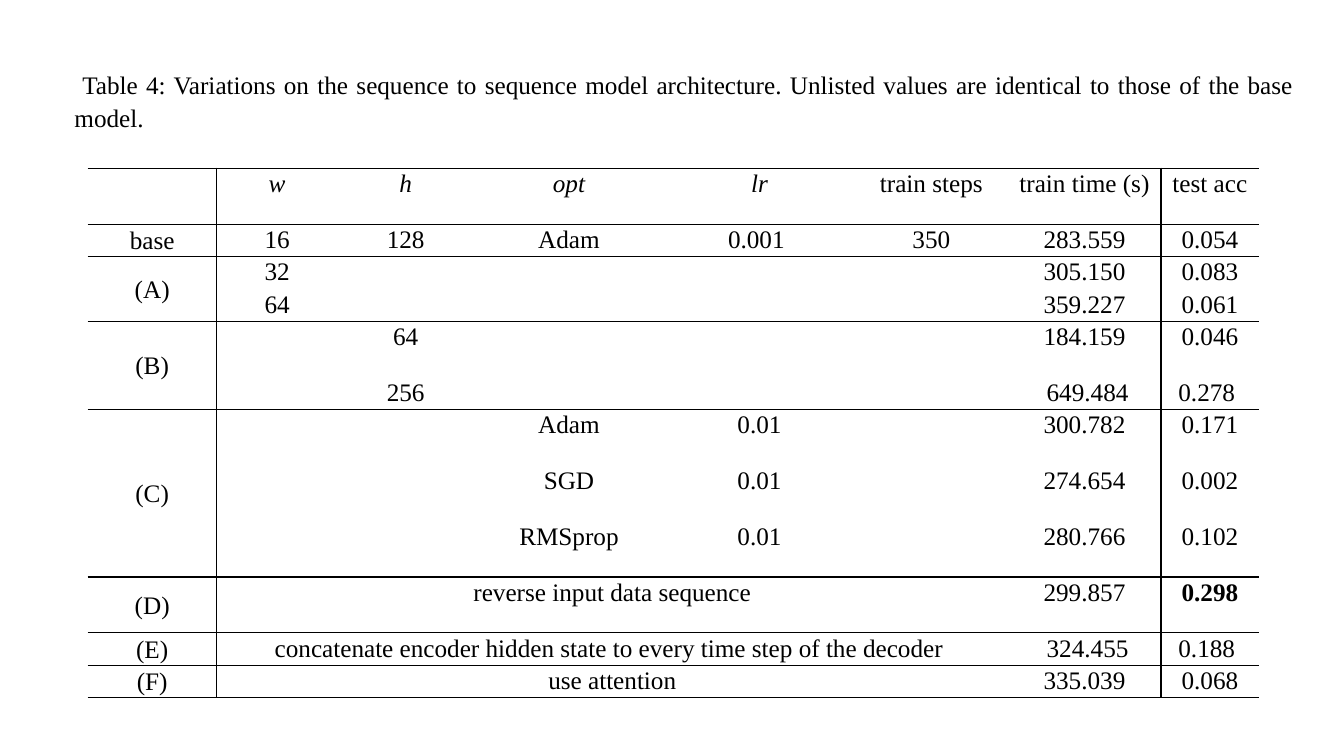
from itertools import accumulate

from lxml.etree import SubElement
from pptx import Presentation
from pptx.dml.color import RGBColor
from pptx.enum.text import MSO_ANCHOR as Anchor, MSO_AUTO_SIZE as AutoSize, PP_ALIGN as Align
from pptx.oxml.ns import qn
from pptx.util import Pt

COLORS = {"ink": "000000", "paper": "FFFFFF"}
FONT = "Times New Roman"
CAPTION = (" Table 4: Variations on the sequence to sequence model architecture. "
           "Unlisted values are identical to those of the base model. ")

COLUMN_WIDTHS = [92.2, 86.4, 97.2, 136.1, 136.1, 109.4, 109.4, 69.8]
TALL, SHORT = 39.9, 23.1
RULED_COLUMNS = {1, 7}  # columns with a vertical line on their left
SYMBOLS = {"w", "h", "opt", "lr"}
BEST = "0.298"

# Each group holds its rows as (height, cells); a one-item middle spans all settings.
GROUPS = [
    ("", [(TALL, ["w", "h", "opt", "lr", "train steps", "train time (s)", "test acc"])]),
    ("base", [(SHORT, ["16", "128", "Adam", "0.001 ", "350", "283.559", "0.054"])]),
    ("(A)", [(SHORT, ["32", "", "", "", "", "305.150", "0.083"]),
             (SHORT, ["64", "", "", "", "", "359.227", "0.061"])]),
    ("(B)", [(TALL, ["", "64", "", "", "", "184.159", "0.046"]),
             (SHORT, ["", "256", "", "", "", " 649.484", "0.278 "])]),
    ("(C)", [(TALL, ["", "", "Adam", "0.01", "", "300.782", "0.171"]),
             (TALL, ["", "", "SGD", "0.01", "", "274.654", "0.002"]),
             (TALL, ["", "", "RMSprop", "0.01", "", "280.766", "0.102"])]),
    ("(D)", [(TALL, ["reverse input data sequence", "299.857", BEST])]),
    ("(E)", [(SHORT, ["concatenate encoder hidden state to every time step of the decoder ",
                      " 324.455", "0.188 "])]),
    ("(F)", [(SHORT, ["use attention", "335.039", "0.068"])]),
]


def write(frame, text, align=Align.CENTER, size=18, bold=False, italic=False, after=0):
    paragraph = frame.paragraphs[0]
    paragraph.alignment = align
    paragraph.line_spacing = 1.07
    paragraph.space_before, paragraph.space_after = Pt(0), Pt(after)
    run = paragraph.add_run()
    run.text = text
    run.font.name, run.font.size = FONT, Pt(size)
    run.font.bold, run.font.italic = bold, italic
    run.font.color.rgb = RGBColor.from_string(COLORS["ink"])


def set_borders(cell, drawn):
    """Draw the named sides (L, R, T, B) and clear the others."""
    properties = cell._tc.get_or_add_tcPr()
    for position, side in enumerate("LRTB"):
        line = SubElement(properties, qn(f"a:ln{side}"), w=str(Pt(1)))
        if side in drawn:
            fill = SubElement(line, qn("a:solidFill"))
            SubElement(fill, qn("a:srgbClr"), val=COLORS["ink"])
        else:
            SubElement(line, qn("a:noFill"))
        properties.insert(position, line)


def add_caption(slide, left, top, width, height):
    caption = slide.shapes.title
    caption.left, caption.top, caption.width, caption.height = map(Pt, (left, top, width, height))
    frame = caption.text_frame
    frame.word_wrap = True
    frame.auto_size = AutoSize.SHAPE_TO_FIT_TEXT
    frame.vertical_anchor = Anchor.TOP
    write(frame, CAPTION, align=Align.JUSTIFY, after=8)


def add_results(slide, left, top, width):
    rows = [row for _, group in GROUPS for row in group]
    starts = [0, *accumulate(len(group) for _, group in GROUPS)]
    height = sum(row_height for row_height, _ in rows)
    table = slide.shapes.add_table(len(rows), len(COLUMN_WIDTHS),
                                   Pt(left), Pt(top), Pt(width), Pt(height)).table
    table.first_row = table.horz_banding = False
    for column, share in zip(table.columns, COLUMN_WIDTHS):
        column.width = Pt(width * share / sum(COLUMN_WIDTHS))

    for r, (row_height, values) in enumerate(rows):
        table.rows[r].height = Pt(row_height)
        for c in range(len(COLUMN_WIDTHS)):
            cell = table.cell(r, c)
            cell.margin_left = cell.margin_right = Pt(5)
            cell.margin_top = cell.margin_bottom = 0
            cell.fill.background()
            sides = {"L": c in RULED_COLUMNS, "R": c + 1 in RULED_COLUMNS,
                     "T": r in starts, "B": r + 1 in starts}
            set_borders(cell, [side for side, drawn in sides.items() if drawn])
        columns = range(1, 8)
        if len(values) == 3:
            table.cell(r, 1).merge(table.cell(r, 5))
            columns = (1, 6, 7)
        for c, value in zip(columns, values):
            if value:
                write(table.cell(r, c).text_frame, value,
                      italic=value in SYMBOLS, bold=value == BEST)

    for start, (label, group) in zip(starts, GROUPS):
        cell = table.cell(start, 0)
        if len(group) > 1:
            cell.merge(table.cell(start + len(group) - 1, 0))
        if label:
            cell.vertical_anchor = Anchor.MIDDLE
            write(cell.text_frame, label)


def main():
    deck = Presentation()
    deck.slide_width, deck.slide_height = Pt(960), Pt(540)
    slide = deck.slides.add_slide(deck.slide_layouts[5])
    slide.background.fill.solid()
    slide.background.fill.fore_color.rgb = RGBColor.from_string(COLORS["paper"])
    add_caption(slide, 46, 44.6, 885.6, 54)
    add_results(slide, 62.6, 120.2, 836.6)
    deck.save("out.pptx")


if __name__ == "__main__":
    main()
